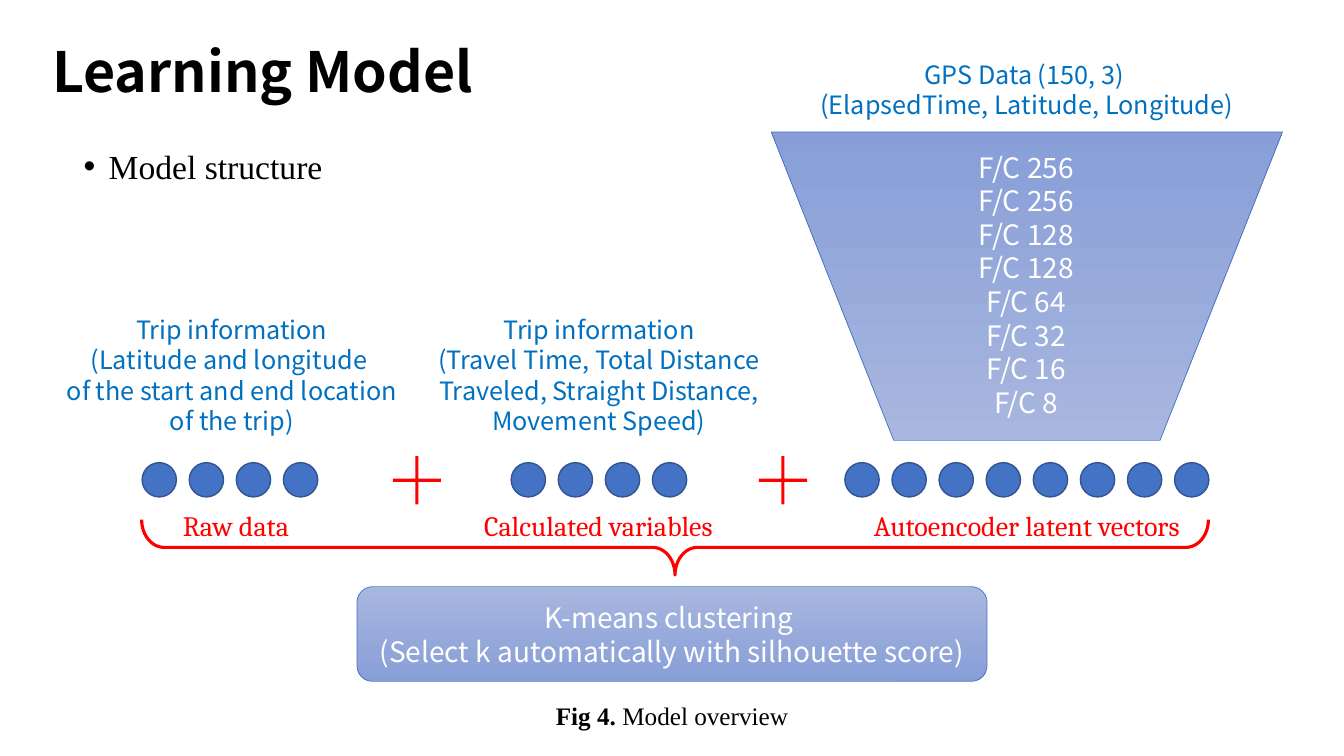
from pptx import Presentation
from pptx.dml.color import RGBColor
from pptx.enum.shapes import MSO_SHAPE
from pptx.enum.text import MSO_ANCHOR, PP_ALIGN
from pptx.oxml.ns import qn
from pptx.util import Inches, Pt
from lxml.etree import SubElement


def color(value):
    return RGBColor.from_string(value)


class ModelSlide:
    """Draws the elements of the learning model slide in one shared style."""

    sans, serif, label_font = "Noto Sans CJK KR", "Times New Roman", "Cambria"
    black, white, red = "000000", "FFFFFF", "FF0000"
    caption_blue, node_blue, node_edge, frame_blue = "0070C0", "4472C4", "325491", "4472C4"
    gradient = ("A8B7DF", "889ED7")
    node_size, node_pitch = 0.34, 3.27 / 7

    def __init__(self, deck):
        self.slide = deck.slides.add_slide(deck.slide_layouts[6])

    def fill_text(self, shape, lines, size, font, tint, bold=None,
                  align=PP_ALIGN.CENTER, anchor=MSO_ANCHOR.TOP):
        frame = shape.text_frame
        frame.word_wrap = True
        frame.vertical_anchor = anchor
        for index, line in enumerate(lines):
            para = frame.paragraphs[0] if index == 0 else frame.add_paragraph()
            para.text = line
            para.alignment = align
            para.font.size = Pt(size)
            para.font.name = font
            para.font.bold = bold
            para.font.color.rgb = color(tint)
        return frame.paragraphs[0]

    def text(self, area, lines, size, font, tint, **style):
        box = self.slide.shapes.add_textbox(*map(Inches, area))
        return self.fill_text(box, lines, size, font, tint, **style)

    def bullet(self, area, line, size):
        box = self.slide.shapes.add_textbox(*map(Inches, area))
        para = box.text_frame.paragraphs[0]
        properties = para._p.get_or_add_pPr()
        properties.set("marL", str(Inches(0.25)))
        properties.set("indent", str(-Inches(0.25)))
        SubElement(properties, qn("a:buFont"), typeface="Arial")
        SubElement(properties, qn("a:buChar"), char="•")
        self.fill_text(box, [line], size, self.serif, self.black, align=PP_ALIGN.LEFT)

    def shape(self, kind, area, fill=None, line=None, width=1, adjustments=()):
        shape = self.slide.shapes.add_shape(kind, *map(Inches, area))
        shape.shadow.inherit = False
        for index, value in enumerate(adjustments):
            shape.adjustments[index] = value
        if fill:
            shape.fill.solid()
            shape.fill.fore_color.rgb = color(fill)
        else:
            shape.fill.background()
        if line:
            shape.line.color.rgb = color(line)
            shape.line.width = Pt(width)
        else:
            shape.line.fill.background()
        return shape

    def gradient_shape(self, kind, area, adjustments=()):
        shape = self.shape(kind, area, line=self.frame_blue, width=0.5, adjustments=adjustments)
        shape.fill.gradient()
        shape.fill.gradient_angle = 270
        for stop, tint, position in zip(shape.fill.gradient_stops, self.gradient, (0, 1)):
            stop.color.rgb = color(tint)
            stop.position = position
        return shape

    def nodes(self, left, count):
        for index in range(count):
            area = (left + index * self.node_pitch, 4.59, self.node_size, self.node_size)
            self.shape(MSO_SHAPE.OVAL, area, self.node_blue, self.node_edge)

    def plus(self, left):
        self.shape(MSO_SHAPE.MATH_PLUS, (left, 4.44, 0.65, 0.65), self.red, adjustments=[0.049])

    def feature_group(self, label, label_area, nodes_left, count):
        self.nodes(nodes_left, count)
        self.text(label_area, [label], 20, self.label_font, self.red)


def main():
    deck = Presentation()
    deck.slide_width, deck.slide_height = Inches(13.33), Inches(7.5)
    page = ModelSlide(deck)

    title = page.text((0.42, 0.4, 12.5, 0.68), ["Learning Model"], 39.6, page.sans, page.black,
                      bold=True, align=PP_ALIGN.LEFT, anchor=MSO_ANCHOR.MIDDLE)
    title.line_spacing = 0.9
    page.bullet((0.73, 1.4, 11.69, 0.68), "Model structure", 24)

    encoder = page.gradient_shape(MSO_SHAPE.TRAPEZOID, (7.65, 1.31, 5.07, 3.06), [0.397])
    encoder._element.spPr.find(qn("a:xfrm")).set("flipV", "1")
    layers = [f"F/C {units}" for units in (256, 256, 128, 128, 64, 32, 16, 8)]
    page.text((9.36, 1.44, 1.64, 2.79), layers, 20, page.sans, page.white)

    captions = [
        ((7.65, 0.54, 5.07, 0.71),
         ["GPS Data (150, 3) ", "(ElapsedTime, Latitude, Longitude)"]),
        ((4.1, 3.07, 3.68, 1.31),
         ["Trip information",
          "(Travel Time, Total Distance Traveled, Straight Distance, Movement Speed)"]),
        ((0.46, 3.07, 3.68, 1.31),
         ["Trip information", "(Latitude and longitude ",
          "of the start and end location", "of the trip)"]),
    ]
    for area, lines in captions:
        page.text(area, lines, 18, page.sans, page.caption_blue)

    for left in (3.81, 7.44):
        page.plus(left)
    brace = page.shape(MSO_SHAPE.LEFT_BRACE, (6.42, 0.14, 0.55, 10.58), line=page.red,
                       width=2.25, adjustments=[0.403, 0.5])
    brace.rotation = 270

    page.feature_group("Raw data", (1.53, 5, 1.62, 0.44), 1.41, 4)
    page.feature_group("Calculated variables", (4.52, 5, 2.83, 0.44), 5.07, 4)
    page.feature_group("Autoencoder latent vectors", (8.23, 5, 3.91, 0.44), 8.38, 8)

    clustering = page.gradient_shape(MSO_SHAPE.ROUNDED_RECTANGLE, (3.54, 5.82, 6.25, 0.94))
    page.fill_text(clustering,
                   ["K-means clustering ", "(Select k automatically with silhouette score)"],
                   20, page.sans, page.white, anchor=MSO_ANCHOR.MIDDLE)

    figure = page.text((3.58, 6.9, 6.17, 0.4), ["Fig 4. "], 18, page.serif, page.black)
    figure.runs[0].font.bold = True
    span = figure.add_run()
    span.text = "Model overview"

    deck.save("out.pptx")


if __name__ == "__main__":
    main()
